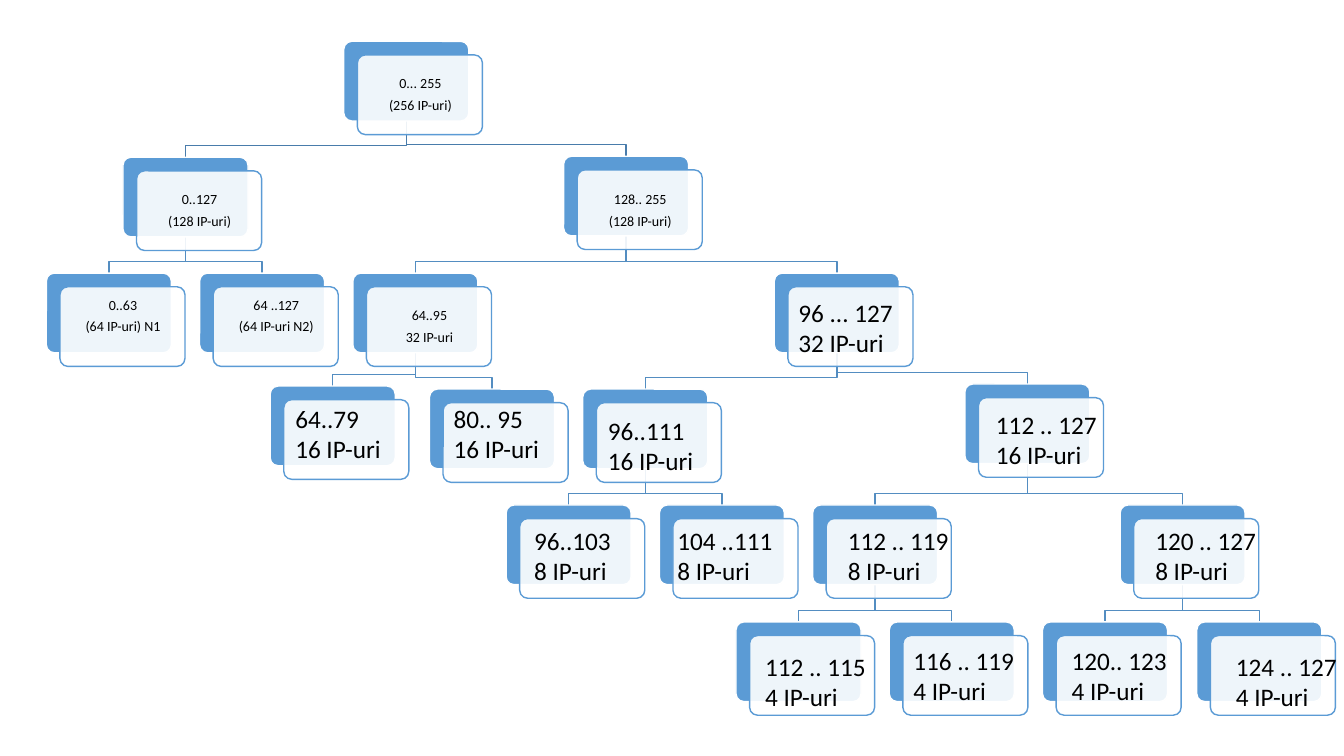
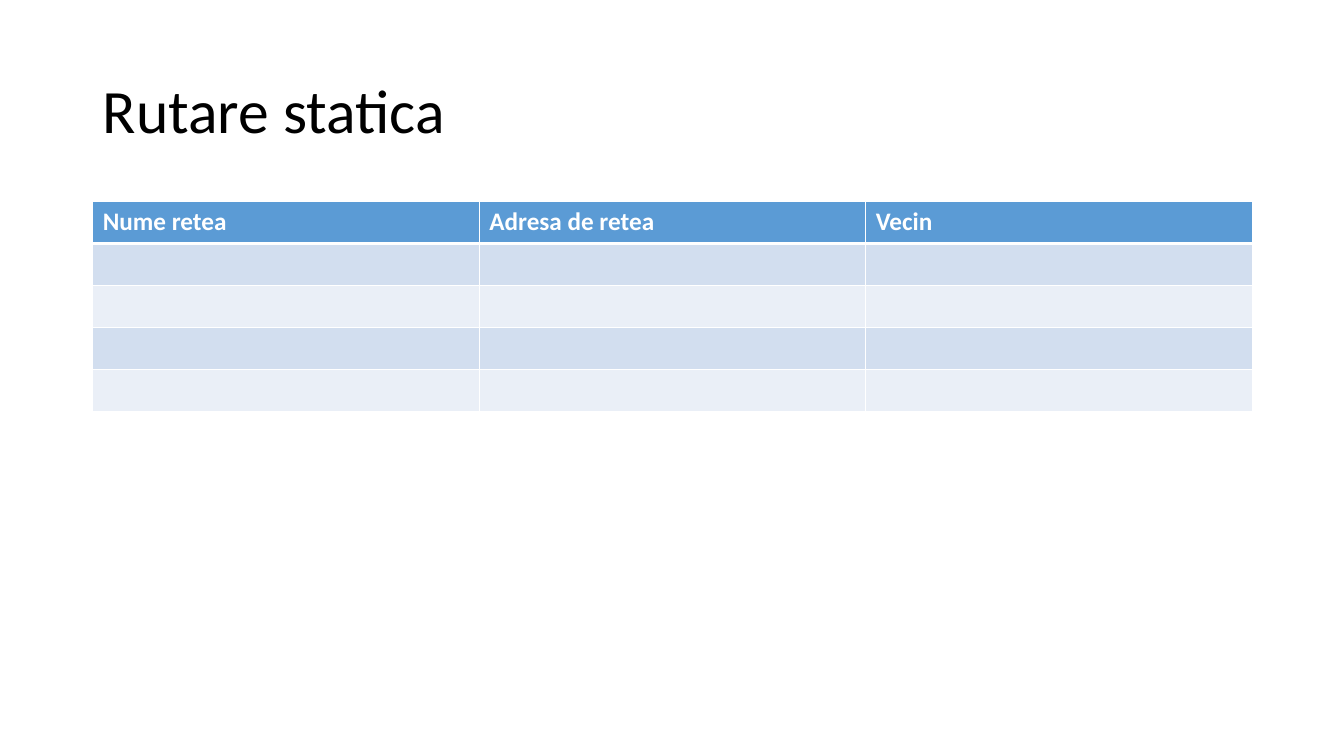
from dataclasses import dataclass

from lxml.etree import SubElement
from pptx import Presentation
from pptx.dml.color import RGBColor
from pptx.enum.shapes import MSO_SHAPE as Shape
from pptx.enum.text import MSO_ANCHOR as Anchor, PP_ALIGN as Align
from pptx.oxml.ns import qn
from pptx.util import Inches, Pt


@dataclass(frozen=True)
class Theme:
    font: str = "Calibri"
    black: RGBColor = RGBColor.from_string("000000")
    white: RGBColor = RGBColor.from_string("FFFFFF")
    blue: RGBColor = RGBColor.from_string("5B9BD5")
    root_line: RGBColor = RGBColor.from_string("497CAB")
    branch_line: RGBColor = RGBColor.from_string("538DC1")
    band_dark: RGBColor = RGBColor.from_string("D2DEEF")
    band_light: RGBColor = RGBColor.from_string("EAEFF7")
    title_size: int = 44
    body_size: int = 18
    small_size: int = 10


theme = Theme()


def write_text(frame, *lines, size=theme.body_size, color=theme.black, bold=False,
               align=Align.LEFT, anchor=Anchor.TOP, inset=None, space_after=0,
               line_spacing=1.0):
    frame.word_wrap = True
    frame.vertical_anchor = anchor
    if inset is not None:
        frame.margin_left = frame.margin_right = Inches(inset)
        frame.margin_top = frame.margin_bottom = Inches(inset)
    for index, line in enumerate(lines):
        paragraph = frame.paragraphs[0] if index == 0 else frame.add_paragraph()
        paragraph.alignment = align
        paragraph.space_after = Pt(space_after)
        paragraph.line_spacing = line_spacing
        run = paragraph.add_run()
        run.text = line
        run.font.name = theme.font
        run.font.size = Pt(size)
        run.font.bold = bold
        run.font.color.rgb = color


presentation = Presentation()
presentation.slide_width = Inches(13.33)
presentation.slide_height = Inches(7.5)
title_only, blank = presentation.slide_layouts[5], presentation.slide_layouts[6]

# Slide 1: tree of address ranges
slide = presentation.slides.add_slide(blank)

CARD_WIDTH, CARD_HEIGHT = 1.24, 0.79
FRONT_SHIFT = 0.135  # offset of the front card from the back card
BEND_GAP = 0.115  # height of a branch's bend above the child card

# Label box size and text format
SMALL = (1.2, 0.74, dict(size=theme.small_size, align=Align.CENTER,
                         anchor=Anchor.MIDDLE, inset=0.04, space_after=3.5))
LARGE = (1.28, 0.71, dict())

# Range, count, parent range, card left and top, label left and top, label style
cards = [
    ("0... 255", "(256 IP-uri)", None, 3.41, 0.41, 3.57, 0.56, SMALL),
    ("0..127", "(128 IP-uri)", "0... 255", 1.22, 1.56, 1.38, 1.71, SMALL),
    ("0..63", "(64 IP-uri) N1", "0..127", 0.46, 2.71, 0.62, 2.76, SMALL),
    ("64 ..127", "(64 IP-uri N2)", "0..127", 1.98, 2.71, 2.14, 2.76, SMALL),
    ("128.. 255", "(128 IP-uri)", "0... 255", 5.59, 1.55, 5.75, 1.71, SMALL),
    ("64..95", "32 IP-uri", "128.. 255", 3.5, 2.71, 3.66, 2.86, SMALL),
    ("64..79", "16 IP-uri", "64..95", 2.68, 3.83, 2.83, 3.95, LARGE),
    ("80.. 95", "16 IP-uri", "64..95", 4.26, 3.86, 4.4, 3.95, LARGE),
    ("96 ... 127", "32 IP-uri", "128.. 255", 7.68, 2.71, 7.82, 2.9, LARGE),
    ("96..111", "16 IP-uri", "96 ... 127", 5.78, 3.86, 5.93, 4.07, LARGE),
    ("96..103", "8 IP-uri", "96..111", 5.02, 5.01, 5.2, 5.16, LARGE),
    ("104 ..111", "8 IP-uri", "96..111", 6.54, 5.01, 6.62, 5.16, LARGE),
    ("112 .. 127", "16 IP-uri", "96 ... 127", 9.57, 3.81, 9.78, 4.01, LARGE),
    ("112 .. 119", "8 IP-uri", "112 .. 127", 8.06, 5.01, 8.31, 5.16, LARGE),
    ("112 .. 115", "4 IP-uri", "112 .. 119", 7.3, 6.17, 7.49, 6.41, LARGE),
    ("116 .. 119", "4 IP-uri", "112 .. 119", 8.82, 6.17, 8.96, 6.35, LARGE),
    ("120 .. 127", "8 IP-uri", "112 .. 127", 11.11, 5.01, 11.36, 5.16, LARGE),
    ("120.. 123", "4 IP-uri", "120 .. 127", 10.34, 6.17, 10.53, 6.35, LARGE),
    ("124 .. 127", "4 IP-uri", "120 .. 127", 11.87, 6.17, 12.16, 6.41, LARGE),
]
root = cards[0][0]
corners = {card[0]: card[3:5] for card in cards}

# Branches, behind all cards; the root's own go on top
for name, _, parent, left, top, *_ in reversed(cards):
    if parent is None:
        continue
    parent_left, parent_top = corners[parent]
    start_x, end_x = parent_left + CARD_WIDTH / 2, left + CARD_WIDTH / 2
    start_y, bend_y = parent_top + CARD_HEIGHT, top - BEND_GAP
    builder = slide.shapes.build_freeform(Inches(start_x), Inches(start_y))
    bends = [(start_x, bend_y), (end_x, bend_y), (end_x, top)]
    builder.add_line_segments([(Inches(x), Inches(y)) for x, y in bends], close=False)
    branch = builder.convert_to_shape()
    branch.shadow.inherit = False
    branch.fill.background()
    branch.line.color.rgb = theme.root_line if parent == root else theme.branch_line
    branch.line.width = Pt(1)

# Cards: a solid back and a translucent front
for _, _, _, left, top, *_ in cards:
    for shift, fill, line in ((0, theme.blue, theme.white),
                              (FRONT_SHIFT, theme.white, theme.blue)):
        shape = slide.shapes.add_shape(
            Shape.ROUNDED_RECTANGLE, Inches(left + shift), Inches(top + shift),
            Inches(CARD_WIDTH), Inches(CARD_HEIGHT))
        shape.adjustments[0] = 0.1
        shape.shadow.inherit = False
        shape.fill.solid()
        shape.fill.fore_color.rgb = fill
        shape.line.color.rgb = line
        shape.line.width = Pt(1)
    front_color = shape.fill._xPr.find(qn("a:solidFill"))[0]
    SubElement(front_color, qn("a:alpha"), val="90000")

# Labels, in front of all cards
for name, count, _, _, _, left, top, (width, height, text_format) in cards:
    label = slide.shapes.add_textbox(
        Inches(left), Inches(top), Inches(width), Inches(height))
    write_text(label.text_frame, name, count, **text_format)

# Slide 2: routing table
slide = presentation.slides.add_slide(title_only)
title = slide.shapes.title
title.left, title.top = Inches(0.92), Inches(0.4)
title.width, title.height = Inches(11.5), Inches(1.45)
write_text(title.text_frame, "Rutare statica", size=theme.title_size,
           anchor=Anchor.MIDDLE, line_spacing=0.9)

headers = ["Nume retea", "Adresa de retea", "Vecin"]
ROWS = 5
table = slide.shapes.add_table(ROWS, len(headers), Inches(0.92), Inches(2),
                               Inches(11.5), Inches(2.08)).table
for row in range(ROWS):
    for column, header in enumerate(headers):
        cell = table.cell(row, column)
        # White borders, thicker around the header's lower edge
        for side in "LRTB":
            thick = (row, side) in ((0, "B"), (1, "T"))
            border = SubElement(cell._tc.get_or_add_tcPr(), qn(f"a:ln{side}"),
                                w=str(Pt(3 if thick else 1)))
            SubElement(SubElement(border, qn("a:solidFill")), qn("a:srgbClr"),
                       val=str(theme.white))
        cell.fill.solid()
        if row == 0:
            cell.fill.fore_color.rgb = theme.blue
            write_text(cell.text_frame, header, color=theme.white, bold=True)
        else:
            cell.fill.fore_color.rgb = theme.band_dark if row % 2 else theme.band_light

presentation.save("out.pptx")
